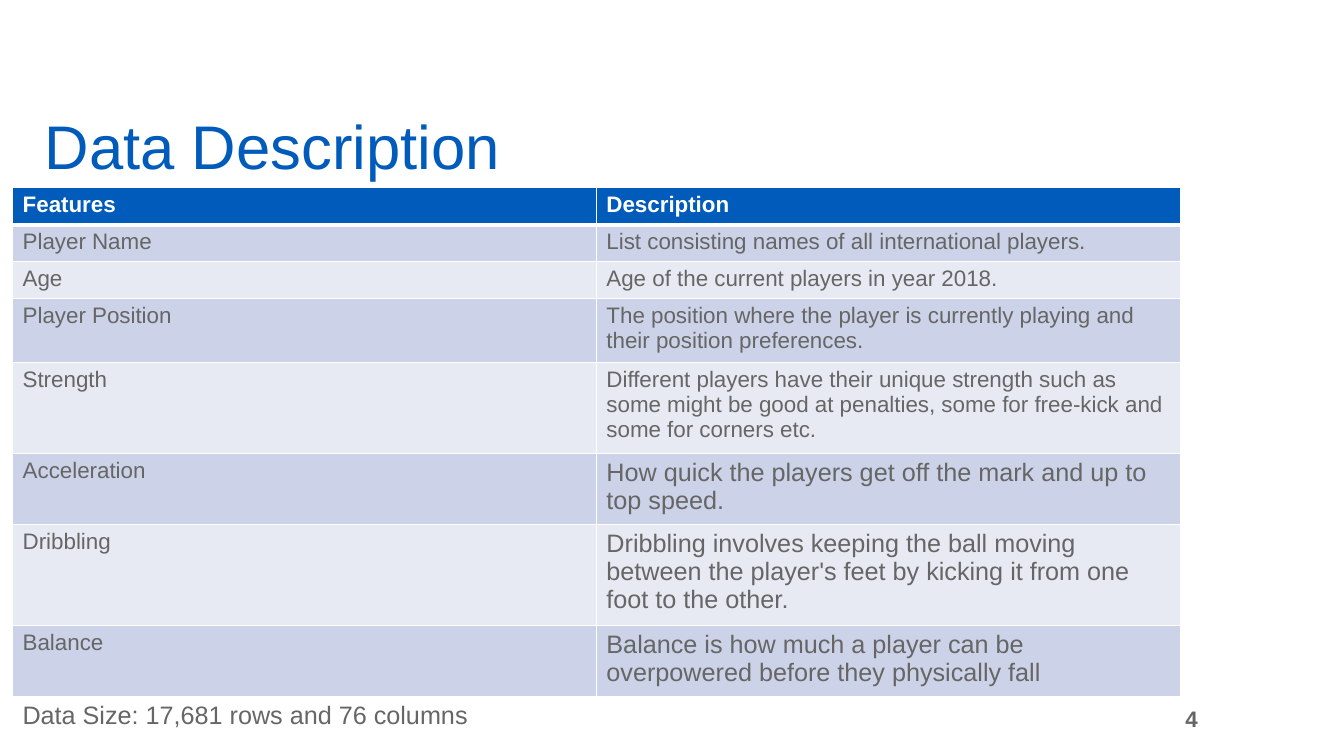
from pptx import Presentation
from pptx.dml.color import RGBColor
from pptx.enum.text import MSO_ANCHOR, PP_ALIGN
from pptx.oxml import parse_xml
from pptx.oxml.ns import nsdecls
from pptx.util import Pt

BLUE, GREY, WHITE = "005BBB", "666666", "FFFFFF"
BANDS = ["E7EAF3", "CCD2E7"]


def rgb(color):
    return RGBColor.from_string(color)


def add_text(tf, text, size, color, bold=False, align=PP_ALIGN.LEFT):
    p = tf.paragraphs[0]
    p.alignment = align
    r = p.add_run()
    r.text = text
    r.font.name = "Arial"
    r.font.size = Pt(size)
    r.font.bold = bold
    r.font.color.rgb = rgb(color)


prs = Presentation()
prs.slide_width, prs.slide_height = Pt(960), Pt(540)
s = prs.slides.add_slide(prs.slide_layouts[6])

# Title
tf = s.shapes.add_textbox(Pt(23), Pt(73.5), Pt(343.5), Pt(60.5)).text_frame
tf.word_wrap = False
add_text(tf, "Data Description", 44, BLUE, align=PP_ALIGN.CENTER)

# Feature table: feature, description, description size, row height
rows = [
    ("Features", "Description", 16, 26.5),
    ("Player Name", "List consisting names of all international players.", 16, 26.5),
    ("Age", "Age of the current players in year 2018.", 16, 26.5),
    ("Player Position", "The position where the player is currently playing and "
     "their position preferences.", 16, 45.5),
    ("Strength", "Different players have their unique strength such as some might "
     "be good at penalties, some for free-kick and some for corners etc.", 16, 65),
    ("Acceleration", "How quick the players get off the mark and up to top speed.",
     18, 50),
    ("Dribbling", "Dribbling involves keeping the ball moving between the player's "
     "feet by kicking it from one foot to the other.", 18, 72.5),
    ("Balance", "Balance is how much a player can be overpowered before they "
     "physically fall", 18, 50),
]
height = sum(row[3] for row in rows)
table = s.shapes.add_table(len(rows), 2, Pt(9), Pt(134), Pt(834), Pt(height)).table
for column in table.columns:
    column.width = Pt(417)

for i, (feature, description, size, row_height) in enumerate(rows):
    table.rows[i].height = Pt(row_height)
    header = i == 0
    for j, (text, text_size) in enumerate([(feature, 16), (description, size)]):
        cell = table.cell(i, j)
        add_text(cell.text_frame, text, text_size, WHITE if header else GREY, header)
        # Borders come before the fill in the cell properties
        for side in ("L", "R", "T", "B"):
            thick = (header and side == "B") or (i == 1 and side == "T")
            cell._tc.get_or_add_tcPr().append(parse_xml(
                f'<a:ln{side} {nsdecls("a")} w="{Pt(3 if thick else 1)}"><a:solidFill>'
                f'<a:srgbClr val="{WHITE}"/></a:solidFill></a:ln{side}>'))
        cell.fill.solid()
        cell.fill.fore_color.rgb = rgb(BLUE if header else BANDS[i % 2])

# Data size
tf = s.shapes.add_textbox(Pt(9), Pt(496), Pt(820), Pt(29)).text_frame
tf.word_wrap = True
add_text(tf, "Data Size: 17,681 rows and 76 columns", 18, GREY)

# Slide number
tf = s.shapes.add_textbox(Pt(808), Pt(492), Pt(57), Pt(42)).text_frame
tf.word_wrap = True
tf.vertical_anchor = MSO_ANCHOR.MIDDLE
tf.margin_left = tf.margin_right = Pt(9.5)
tf.margin_top = tf.margin_bottom = Pt(5)
add_text(tf, "4", 16, GREY, True, PP_ALIGN.RIGHT)

prs.save("out.pptx")
